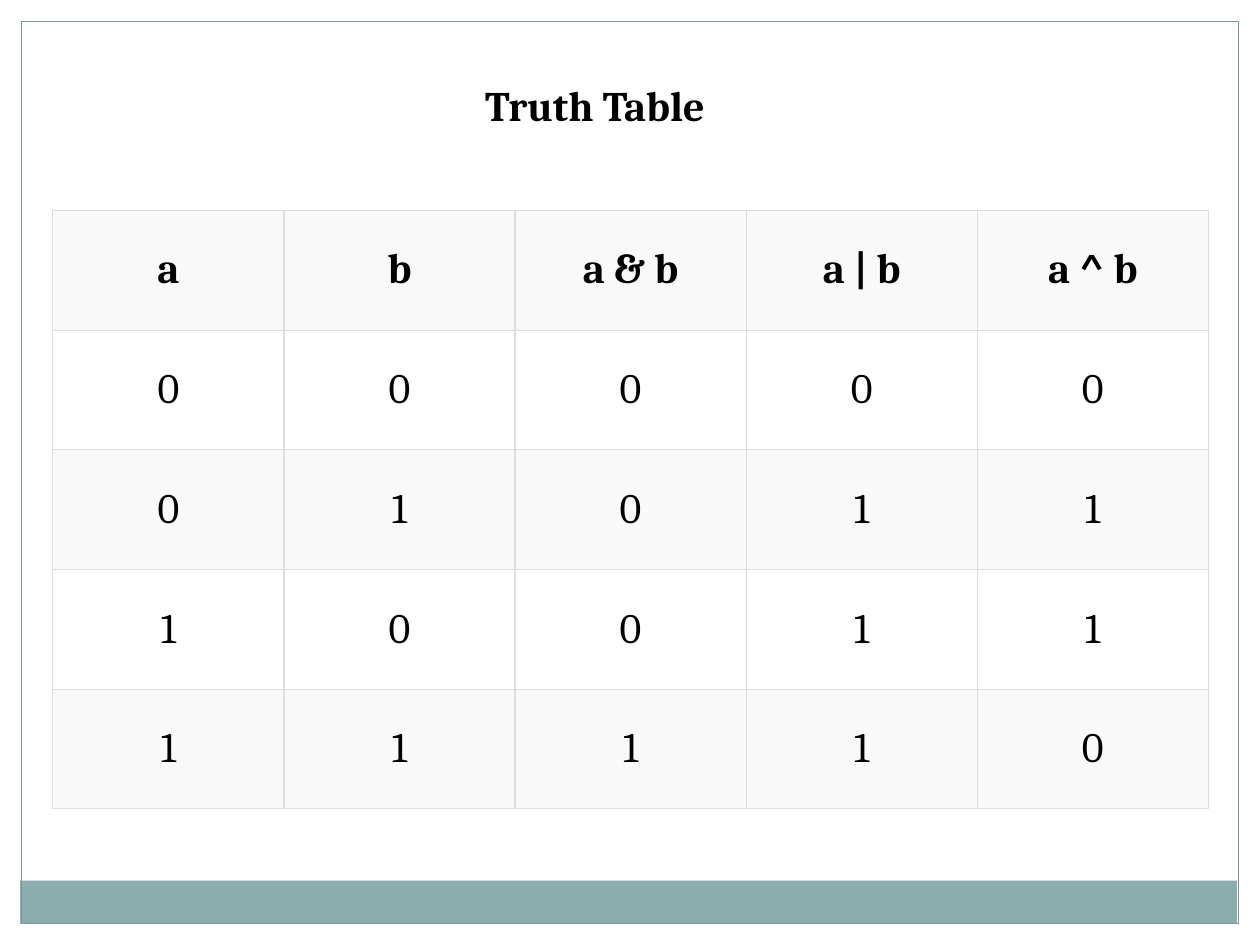
"""Build a slide with the truth table of the bitwise operators."""
from itertools import product
from typing import NamedTuple, Optional

from lxml import etree
from pptx import Presentation
from pptx import util as u
from pptx.dml.color import RGBColor
from pptx.enum import shapes, text
from pptx.oxml import ns

WHITE = RGBColor(0xFF, 0xFF, 0xFF)
BLACK = RGBColor(0x00, 0x00, 0x00)
TEAL = RGBColor(0x8C, 0xAD, 0xAE)
FRAME_TEAL = RGBColor(0x7C, 0x99, 0x9A)
STRIPE = RGBColor(0xF9, 0xF9, 0xF9)
GRID = RGBColor(0xDD, 0xDD, 0xDD)


class Panel(NamedTuple):
    left: float
    top: float
    width: float
    height: float
    fill: Optional[RGBColor] = None
    outline: Optional[RGBColor] = None


PANELS = [
    Panel(0, 0, 10, 0.17, fill=WHITE),
    Panel(9.83, 0, 0.17, 7.5, fill=WHITE),
    Panel(0, 0, 0.17, 7.5, fill=WHITE),
    Panel(0.16, 6.99, 9.66, 0.34, fill=TEAL),
    Panel(0.17, 0.17, 9.66, 7.16, outline=FRAME_TEAL),
]
HEADINGS = ["a", "b", "a & b", "a | b", "a ^ b"]
TRUTH_ROWS = [(a, b, a & b, a | b, a ^ b) for a, b in product((0, 1), repeat=2)]


def draw_panel(slide, panel: Panel) -> None:
    box = slide.shapes.add_shape(
        shapes.MSO_SHAPE.RECTANGLE, u.Inches(panel.left), u.Inches(panel.top),
        u.Inches(panel.width), u.Inches(panel.height))
    box.shadow.inherit = False
    if panel.fill is None:
        box.fill.background()
    else:
        box.fill.solid()
        box.fill.fore_color.rgb = panel.fill
    if panel.outline is None:
        box.line.fill.background()
    else:
        box.line.color.rgb = panel.outline
        box.line.width = u.Pt(0.75)


def write_text(frame, content: str, *, bold: bool = False,
               align=text.PP_ALIGN.CENTER) -> None:
    paragraph = frame.paragraphs[0]
    paragraph.alignment = align
    run = paragraph.add_run()
    run.text = content
    run.font.name = "Cambria"
    run.font.size = u.Pt(24)
    run.font.bold = bold
    run.font.color.rgb = BLACK


def add_borders(cell, color: RGBColor, points: float) -> None:
    properties = cell._tc.get_or_add_tcPr()
    for side in ("a:lnL", "a:lnR", "a:lnT", "a:lnB"):
        border = etree.SubElement(properties, ns.qn(side), w=str(u.Pt(points)))
        fill = etree.SubElement(border, ns.qn("a:solidFill"))
        etree.SubElement(fill, ns.qn("a:srgbClr"), val=str(color))


def draw_cell(cell, content: str, *, heading: bool, striped: bool) -> None:
    cell.margin_left = cell.margin_right = u.Inches(0.07)
    cell.margin_top = cell.margin_bottom = u.Inches(0.07)
    cell.vertical_anchor = text.MSO_ANCHOR.MIDDLE
    add_borders(cell, GRID, 0.75)
    if striped:
        cell.fill.solid()
        cell.fill.fore_color.rgb = STRIPE
    else:
        cell.fill.background()
    write_text(cell.text_frame, content, bold=heading)


def draw_truth_table(slide) -> None:
    rows = [HEADINGS, *TRUTH_ROWS]
    table = slide.shapes.add_table(
        len(rows), len(HEADINGS), u.Inches(0.42), u.Inches(1.67),
        u.Inches(9.17), u.Inches(4.75)).table
    table.first_row = False
    table.horz_banding = False
    for row_index, row in enumerate(rows):
        for column_index, value in enumerate(row):
            draw_cell(table.cell(row_index, column_index), str(value),
                      heading=row_index == 0, striped=row_index % 2 == 0)


def draw_title(slide) -> None:
    title = slide.shapes.title
    title.left, title.top = u.Inches(3.75), u.Inches(0.58)
    title.width, title.height = u.Inches(2.24), u.Inches(0.5)
    frame = title.text_frame
    frame.word_wrap = False
    frame.auto_size = text.MSO_AUTO_SIZE.SHAPE_TO_FIT_TEXT
    frame.vertical_anchor = text.MSO_ANCHOR.TOP
    write_text(frame, "Truth Table", bold=True, align=text.PP_ALIGN.LEFT)


def main() -> None:
    deck = Presentation()
    deck.slide_width, deck.slide_height = u.Inches(10), u.Inches(7.5)
    slide = deck.slides.add_slide(deck.slide_layouts[5])
    for panel in PANELS:
        draw_panel(slide, panel)
    draw_truth_table(slide)
    draw_title(slide)
    deck.save("out.pptx")


if __name__ == "__main__":
    main()
